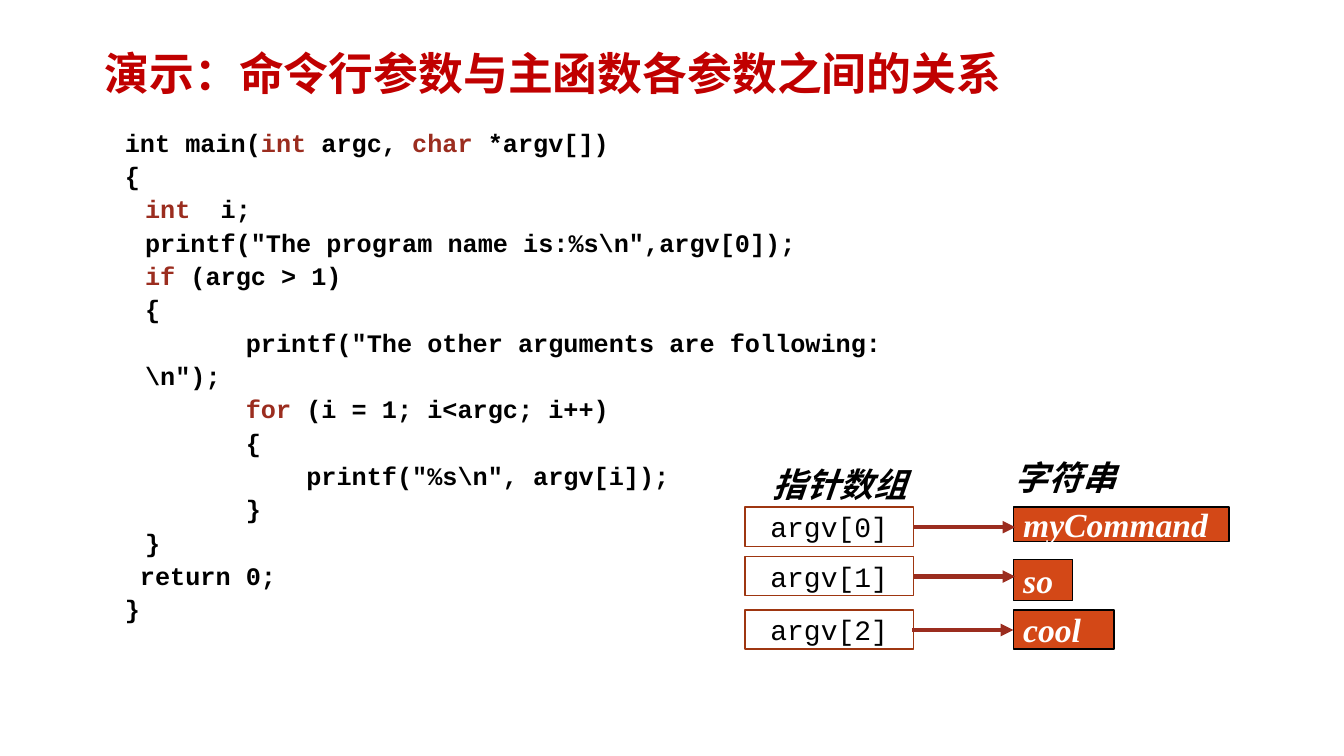
from lxml.etree import SubElement
from pptx import Presentation
from pptx.dml.color import RGBColor
from pptx.enum.shapes import MSO_CONNECTOR, MSO_SHAPE
from pptx.enum.text import MSO_ANCHOR, PP_ALIGN
from pptx.oxml.ns import qn
from pptx.util import Inches, Pt

BLACK = RGBColor(0x00, 0x00, 0x00)
WHITE = RGBColor(0xFF, 0xFF, 0xFF)
TITLE_RED = RGBColor(0xC0, 0x00, 0x00)
KEYWORD_RED = RGBColor(0x9B, 0x2D, 0x1F)
POINTER_LINE = RGBColor(0x9E, 0x36, 0x11)
STRING_FILL = RGBColor(0xD3, 0x48, 0x17)
CJK, MONO, SERIF = "Noto Sans CJK SC", "Courier New", "Times New Roman"
HANGING = 0.2

CODE = [
    (0, "int main(|int| argc, |char| *argv[])"),
    (0, "{"),
    (0.2, "|int|  i;"),
    (0.2, r'printf("The program name is:%s\n",argv[0]);'),
    (0.2, "|if| (argc > 1)"),
    (0.2, "{"),
    (1.2, r'printf("The other arguments are following:\n");'),
    (1.2, "|for| (i = 1; i<argc; i++)"),
    (1.2, "{"),
    (1.8, r'printf("%s\n", argv[i]);'),
    (1.2, "}"),
    (0.2, "}"),
    (0.15, "return 0;"),
    (0, "}"),
]
ARGUMENTS = [
    (5.03, 9.07, "myCommand", 5.03, 2.14, 0.34),
    (5.52, 9.07, "so", 5.55, 0.59, 0.41),
    (6.05, 9.05, "cool", 6.05, 1, 0.39),
]


class SlideBuilder:
    """Draws titles, code, boxes and arrows on one slide."""

    def __init__(self, slide):
        self.shapes = slide.shapes

    def style(self, paragraph, font_name, size, color, bold=False, italic=False):
        font = paragraph.font
        font.name, font.size = font_name, Pt(size)
        font.bold, font.italic = bold, italic
        font.color.rgb = color

    def label(self, shape, text, align, wrap, *style):
        frame = shape.text_frame
        frame.word_wrap = wrap
        frame.vertical_anchor = MSO_ANCHOR.MIDDLE
        paragraph = frame.paragraphs[0]
        paragraph.alignment = align
        self.style(paragraph, *style)
        span = paragraph.add_run()
        span.text = text
        return span

    def chinese(self, area, text, align, wrap, *style):
        box = self.shapes.add_textbox(*map(Inches, area))
        span = self.label(box, text, align, wrap, *style)
        SubElement(span._r.get_or_add_rPr(), qn("a:ea"), typeface=CJK)

    def code(self, area, lines):
        frame = self.shapes.add_textbox(*map(Inches, area)).text_frame
        frame.word_wrap = True
        for number, (start, line) in enumerate(lines):
            paragraph = frame.add_paragraph() if number else frame.paragraphs[0]
            paragraph.line_spacing = Pt(23.8)
            properties = paragraph._p.get_or_add_pPr()
            properties.set("marL", str(Inches(HANGING)))
            properties.set("indent", str(Inches(start - HANGING)))
            self.style(paragraph, MONO, 18, BLACK, True)
            for position, piece in enumerate(line.split("|")):
                if piece:
                    span = paragraph.add_run()
                    span.text = piece
                    if position % 2:
                        span.font.color.rgb = KEYWORD_RED

    def box(self, area, text, fill, line, align, *style):
        shape = self.shapes.add_shape(MSO_SHAPE.RECTANGLE, *map(Inches, area))
        shape.shadow.inherit = False
        shape.fill.solid()
        shape.fill.fore_color.rgb = fill
        shape.line.color.rgb = line
        shape.line.width = Pt(1)
        self.label(shape, text, align, True, *style)

    def arrow(self, left, top):
        ends = map(Inches, (left, top, left + 1, top))
        connector = self.shapes.add_connector(MSO_CONNECTOR.STRAIGHT, *ends)
        connector.line.color.rgb = KEYWORD_RED
        connector.line.width = Pt(3)
        properties = connector._element.spPr
        SubElement(properties.find(qn("a:ln")), qn("a:tailEnd"), type="triangle")
        SubElement(properties, qn("a:effectLst"))


def main():
    deck = Presentation()
    deck.slide_width, deck.slide_height = Inches(13.33), Inches(7.5)
    page = SlideBuilder(deck.slides.add_slide(deck.slide_layouts[6]))

    page.chinese((0.94, 0.26, 11.44, 0.92), "演示：命令行参数与主函数各参数之间的关系",
                 PP_ALIGN.LEFT, True, CJK, 32, TITLE_RED, True)
    page.code((1.14, 1.18, 8.26, 4.92), CODE)
    for index, (top, start, text, string_top, width, height) in enumerate(ARGUMENTS):
        page.box((7.39, top, 1.67, 0.39), f"argv[{index}]", WHITE, POINTER_LINE,
                 PP_ALIGN.CENTER, MONO, 20, BLACK)
        page.box((10.05, string_top, width, height), text, STRING_FILL, BLACK,
                 PP_ALIGN.LEFT, SERIF, 24, WHITE, True, True)
        page.arrow(start, top + 0.2)
    for area, text in (((7.55, 4.55, 1.56, 0.51), "指针数组"),
                       ((9.96, 4.48, 1.21, 0.5), "字符串")):
        page.chinese(area, text, PP_ALIGN.CENTER, False, SERIF, 24, BLACK, True, True)
    deck.save("out.pptx")


if __name__ == "__main__":
    main()
